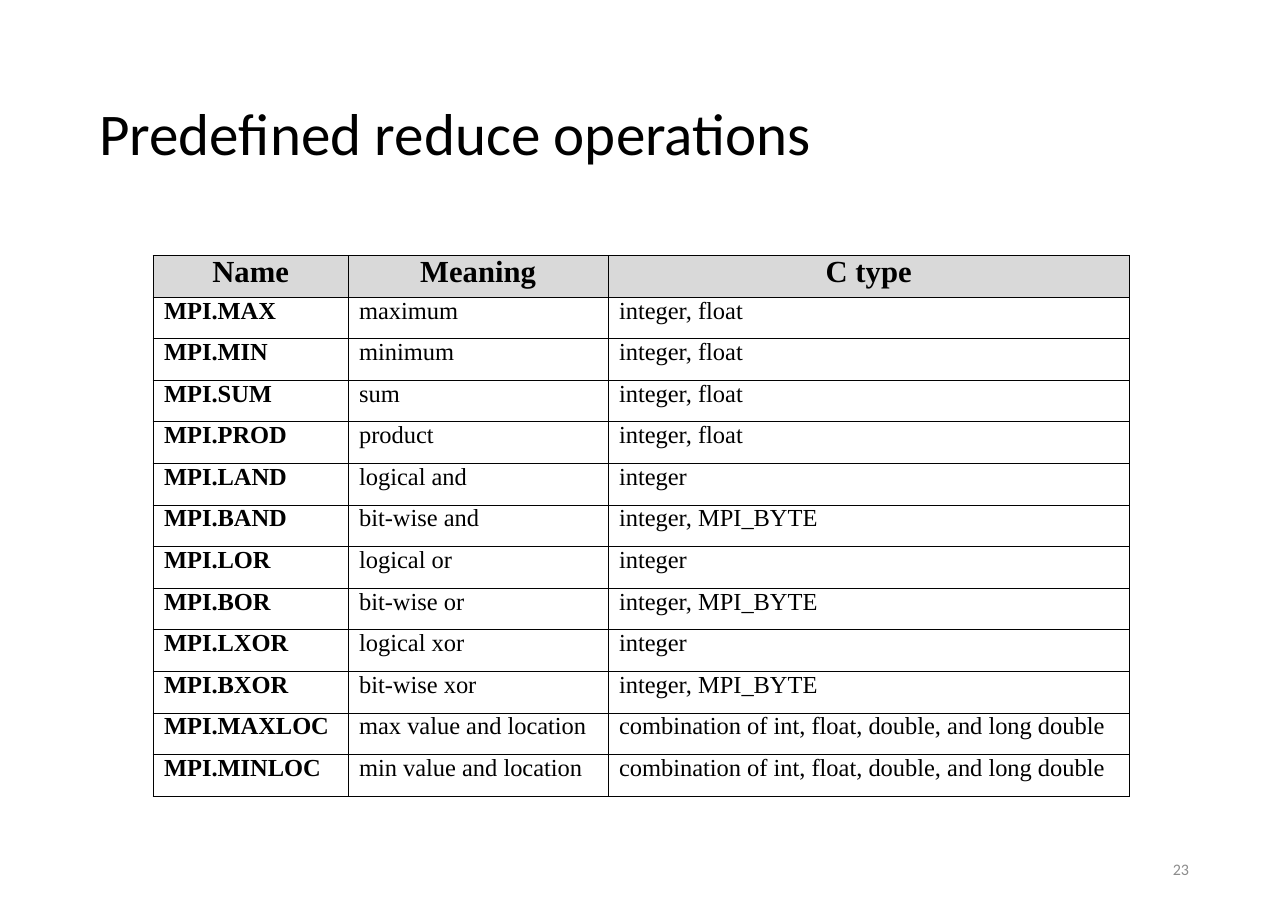
from lxml.etree import SubElement
from pptx import Presentation
from pptx.dml.color import RGBColor
from pptx.enum.text import MSO_ANCHOR, MSO_AUTO_SIZE, PP_ALIGN
from pptx.oxml.ns import qn
from pptx.util import Inches, Pt

COLUMN_WIDTHS = (1.77, 2.36, 4.73)
HEADINGS = ("Name", "Meaning", "C type")
NUMBERS = "integer, float"
BITS = "integer, MPI_BYTE"
PAIRS = "combination of int, float, double, and long double"
OPERATIONS = (
    ("MPI.MAX", "maximum", NUMBERS),
    ("MPI.MIN", "minimum", NUMBERS),
    ("MPI.SUM", "sum", NUMBERS),
    ("MPI.PROD", "product", NUMBERS),
    ("MPI.LAND", "logical and", "integer"),
    ("MPI.BAND", "bit-wise and", BITS),
    ("MPI.LOR", "logical or", "integer"),
    ("MPI.BOR", "bit-wise or", BITS),
    ("MPI.LXOR", "logical xor", "integer"),
    ("MPI.BXOR", "bit-wise xor", BITS),
    ("MPI.MAXLOC", "max value and location", PAIRS),
    ("MPI.MINLOC", "min value and location", PAIRS),
)


def color(value):
    return RGBColor.from_string(value)


def write(frame, text, *, size, font="Calibri", ink="000000", bold=False,
          align=PP_ALIGN.LEFT, before=0, line_spacing=1.0):
    frame.word_wrap = True
    paragraph = frame.paragraphs[0]
    paragraph.alignment = align
    paragraph.space_before = Pt(before)
    paragraph.line_spacing = line_spacing
    run = paragraph.add_run()
    run.text = text
    run.font.name = font
    run.font.size = Pt(size)
    run.font.bold = bold
    run.font.color.rgb = color(ink)


def add_borders(cell, ink, width):
    properties = cell._tc.get_or_add_tcPr()
    for side in ("a:lnL", "a:lnR", "a:lnT", "a:lnB"):
        border = SubElement(properties, qn(side), w=str(Pt(width)))
        fill = SubElement(border, qn("a:solidFill"))
        SubElement(fill, qn("a:srgbClr"), val=ink)


class SlideBuilder:
    table_font = "Times New Roman"
    header_fill = "D9D9D9"
    border_ink = "010101"
    muted_ink = "8C8C8C"

    def __init__(self, slide):
        self.slide = slide

    def title(self, text, left, top, width, height):
        heading = self.slide.shapes.title
        heading.left, heading.top = Inches(left), Inches(top)
        heading.width, heading.height = Inches(width), Inches(height)
        heading.text_frame.auto_size = MSO_AUTO_SIZE.NONE
        heading.text_frame.vertical_anchor = MSO_ANCHOR.MIDDLE
        write(heading.text_frame, text, size=38.6, line_spacing=0.9)

    def table(self, headings, rows, widths, left, top, height):
        grid = self.slide.shapes.add_table(
            len(rows) + 1, len(headings), Inches(left), Inches(top),
            Inches(sum(widths)), Inches(height)).table
        for column, width in zip(grid.columns, widths):
            column.width = Inches(width)
        for row, texts in enumerate((headings, *rows)):
            for column, text in enumerate(texts):
                self.cell(grid.cell(row, column), text,
                          header=row == 0, bold=row == 0 or column == 0)

    def cell(self, cell, text, header, bold):
        cell.margin_left = Inches(0 if header else 0.1)
        cell.margin_right = cell.margin_top = cell.margin_bottom = 0
        add_borders(cell, self.border_ink, 0.75)
        if header:
            cell.fill.solid()
            cell.fill.fore_color.rgb = color(self.header_fill)
        else:
            cell.fill.background()
        write(cell.text_frame, text, font=self.table_font, bold=bold,
              size=20 if header else 16, before=5.5 if header else 3,
              align=PP_ALIGN.CENTER if header else PP_ALIGN.LEFT)

    def page_number(self, text, left, top, width, height):
        box = self.slide.shapes.add_textbox(
            Inches(left), Inches(top), Inches(width), Inches(height))
        box.text_frame.vertical_anchor = MSO_ANCHOR.MIDDLE
        write(box.text_frame, text, size=10.5, ink=self.muted_ink,
              align=PP_ALIGN.RIGHT)


def main():
    deck = Presentation()
    deck.slide_width, deck.slide_height = Inches(11.69), Inches(8.27)
    builder = SlideBuilder(deck.slides.add_slide(deck.slide_layouts[5]))

    # Title
    builder.title("Predefined reduce operations", 0.8, 0.44, 10.09, 1.6)

    # Reduce operations
    builder.table(HEADINGS, OPERATIONS, COLUMN_WIDTHS, 1.39, 2.32, 4.91)

    # Footer
    builder.page_number("23", 8.26, 7.67, 2.63, 0.44)

    deck.save("out.pptx")


if __name__ == "__main__":
    main()
